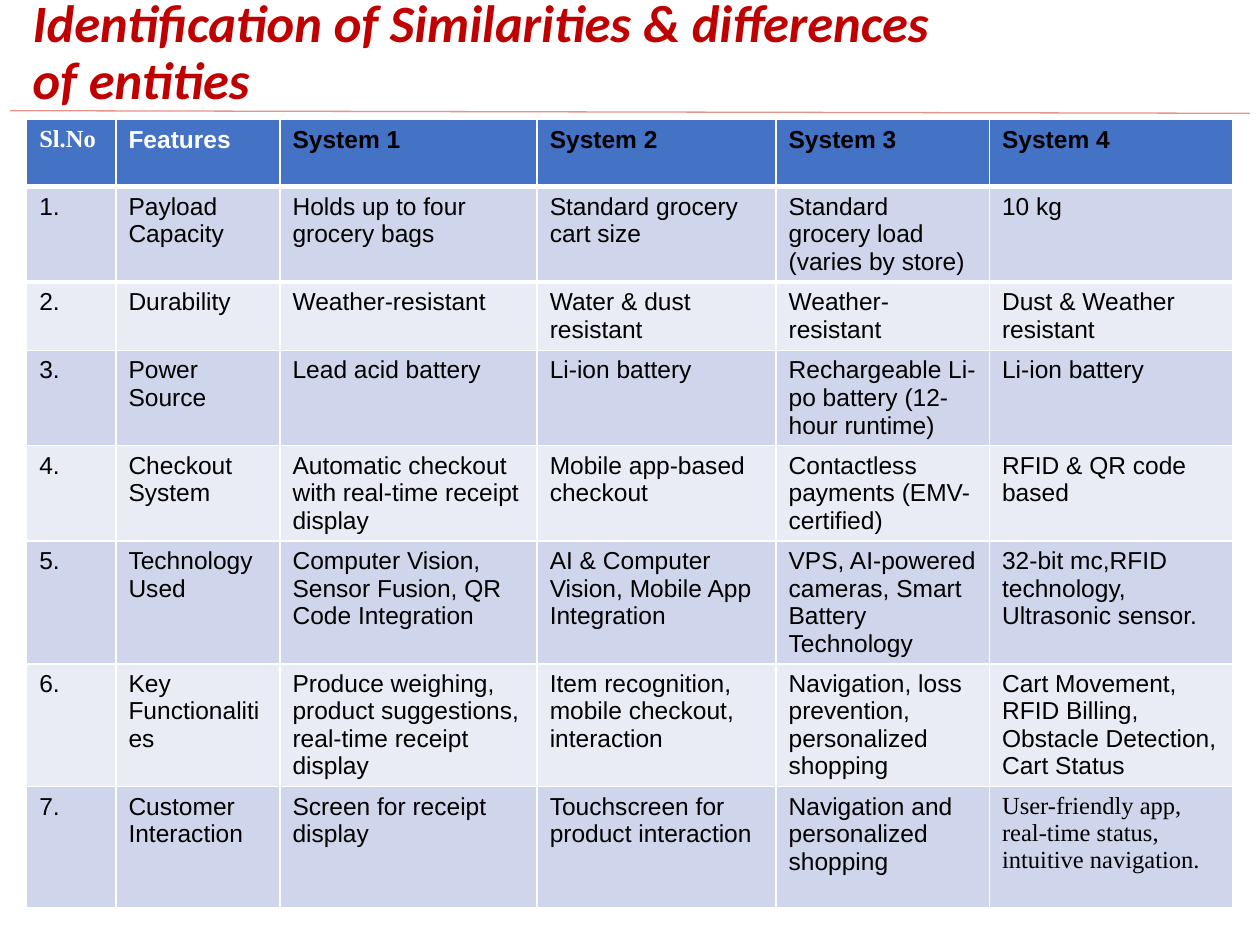
from pptx import Presentation
from pptx.dml.color import RGBColor
from pptx.enum.shapes import MSO_CONNECTOR
from pptx.enum.text import MSO_ANCHOR, MSO_AUTO_SIZE, PP_ALIGN
from pptx.oxml.ns import qn
from pptx.util import Pt
from lxml.etree import SubElement

COLORS = {
    "title": "C00000",
    "rule": "E4948A",
    "header": "4472C4",
    "odd_row": "CFD5EA",
    "even_row": "E9EBF5",
    "white": "FFFFFF",
    "black": "000000",
}

COLUMN_WIDTHS = [51, 93.75, 147, 136.5, 122, 139]
ROW_HEIGHTS = [38.5, 54.5, 39, 54.5, 54.5, 70, 70, 69]

HEADER = ["Sl.No", "Features", "System 1", "System 2", "System 3", "System 4"]
FEATURES = [
    ["Payload Capacity", "Holds up to four grocery bags", "Standard grocery cart size",
     "Standard grocery load (varies by store)", "10 kg"],
    ["Durability", "Weather-resistant", "Water & dust resistant",
     "Weather-resistant", "Dust & Weather resistant"],
    ["Power Source", "Lead acid battery", "Li-ion battery",
     "Rechargeable Li-po battery (12-hour runtime)", "Li-ion battery"],
    ["Checkout System", "Automatic checkout with real-time receipt display",
     "Mobile app-based checkout", "Contactless payments (EMV-certified)",
     "RFID & QR code based"],
    ["Technology Used", "Computer Vision, Sensor Fusion, QR Code Integration",
     "AI & Computer Vision, Mobile App Integration",
     "VPS, AI-powered cameras, Smart Battery Technology",
     "32-bit mc,RFID technology, Ultrasonic sensor."],
    ["Key Functionalities",
     "Produce weighing, product suggestions, real-time receipt display",
     "Item recognition, mobile checkout, interaction",
     "Navigation, loss prevention, personalized shopping",
     "Cart Movement,\nRFID Billing,\nObstacle Detection, Cart Status"],
    ["Customer Interaction", "Screen for receipt display",
     "Touchscreen for product interaction", "Navigation and personalized shopping",
     "User-friendly app, real-time status, intuitive navigation."],
]


class SlideBuilder:
    def __init__(self, page):
        self.page = page
        self.title_font, self.body_font, self.serif_font = "Calibri", "Arial", "Times New Roman"
        self.title_size, self.body_size = 30, 14

    def add_run(self, para, text, font, size, color, bold=False, italic=False):
        span = para.add_run()
        span.text = text
        span.font.name = font
        span.font.size = Pt(size)
        span.font.bold = bold
        span.font.italic = italic
        span.font.color.rgb = RGBColor.from_string(COLORS[color])

    def title(self, text, left, top, width, height):
        box = self.page.shapes.title
        box.left, box.top, box.width, box.height = Pt(left), Pt(top), Pt(width), Pt(height)
        frame = box.text_frame
        frame.word_wrap = True
        frame.auto_size = MSO_AUTO_SIZE.NONE
        frame.vertical_anchor = MSO_ANCHOR.MIDDLE
        para = frame.paragraphs[0]
        para.alignment = PP_ALIGN.LEFT
        para.line_spacing = 0.9
        self.add_run(para, text, self.title_font, self.title_size, "title", True, True)

    def rule(self, x1, y1, x2, y2):
        line = self.page.shapes.add_connector(
            MSO_CONNECTOR.STRAIGHT, Pt(x1), Pt(y1), Pt(x2), Pt(y2))
        line.line.color.rgb = RGBColor.from_string(COLORS["rule"])
        line.line.width = Pt(0.75)
        SubElement(line._element.spPr, qn("a:effectLst"))

    def table(self, rows, left, top):
        """White cell borders come from the default table style."""
        table = self.page.shapes.add_table(
            len(rows), len(COLUMN_WIDTHS), Pt(left), Pt(top),
            Pt(sum(COLUMN_WIDTHS)), Pt(sum(ROW_HEIGHTS))).table
        for column, width in zip(table.columns, COLUMN_WIDTHS):
            column.width = Pt(width)
        for row, height in zip(table.rows, ROW_HEIGHTS):
            row.height = Pt(height)
        serif_cells = {(0, 0), (len(rows) - 1, len(COLUMN_WIDTHS) - 1)}
        for r, texts in enumerate(rows):
            fill = "header" if r == 0 else "odd_row" if r % 2 else "even_row"
            for c, text in enumerate(texts):
                font = self.serif_font if (r, c) in serif_cells else self.body_font
                color = "white" if r == 0 and c < 2 else "black"
                if r < 2:
                    self.border(table.cell(r, c), "a:lnT" if r else "a:lnB", 3)
                self.cell(table.cell(r, c), text, fill, font, color, bold=r == 0)

    def border(self, cell, side, width):
        line = SubElement(cell._tc.get_or_add_tcPr(), qn(side), w=str(Pt(width)))
        SubElement(SubElement(line, qn("a:solidFill")), qn("a:srgbClr"), val=COLORS["white"])

    def cell(self, cell, text, fill, font, color, bold):
        cell.fill.solid()
        cell.fill.fore_color.rgb = RGBColor.from_string(COLORS[fill])
        frame = cell.text_frame
        for i, line in enumerate(text.split("\n")):
            para = frame.add_paragraph() if i else frame.paragraphs[0]
            self.add_run(para, line, font, self.body_size, color, bold)


def main():
    deck = Presentation()
    deck.slide_width, deck.slide_height = Pt(720), Pt(540)
    builder = SlideBuilder(deck.slides.add_slide(deck.slide_layouts[5]))
    builder.rule(5.75, 63.25, 714.25, 64.75)
    builder.title("Identification of Similarities & differences of entities",
                  11.5, 10, 538, 42)
    numbered = [[f"{number}.", *row] for number, row in enumerate(FEATURES, 1)]
    builder.table([HEADER, *numbered], 15.25, 68.25)
    deck.save("out.pptx")


if __name__ == "__main__":
    main()
